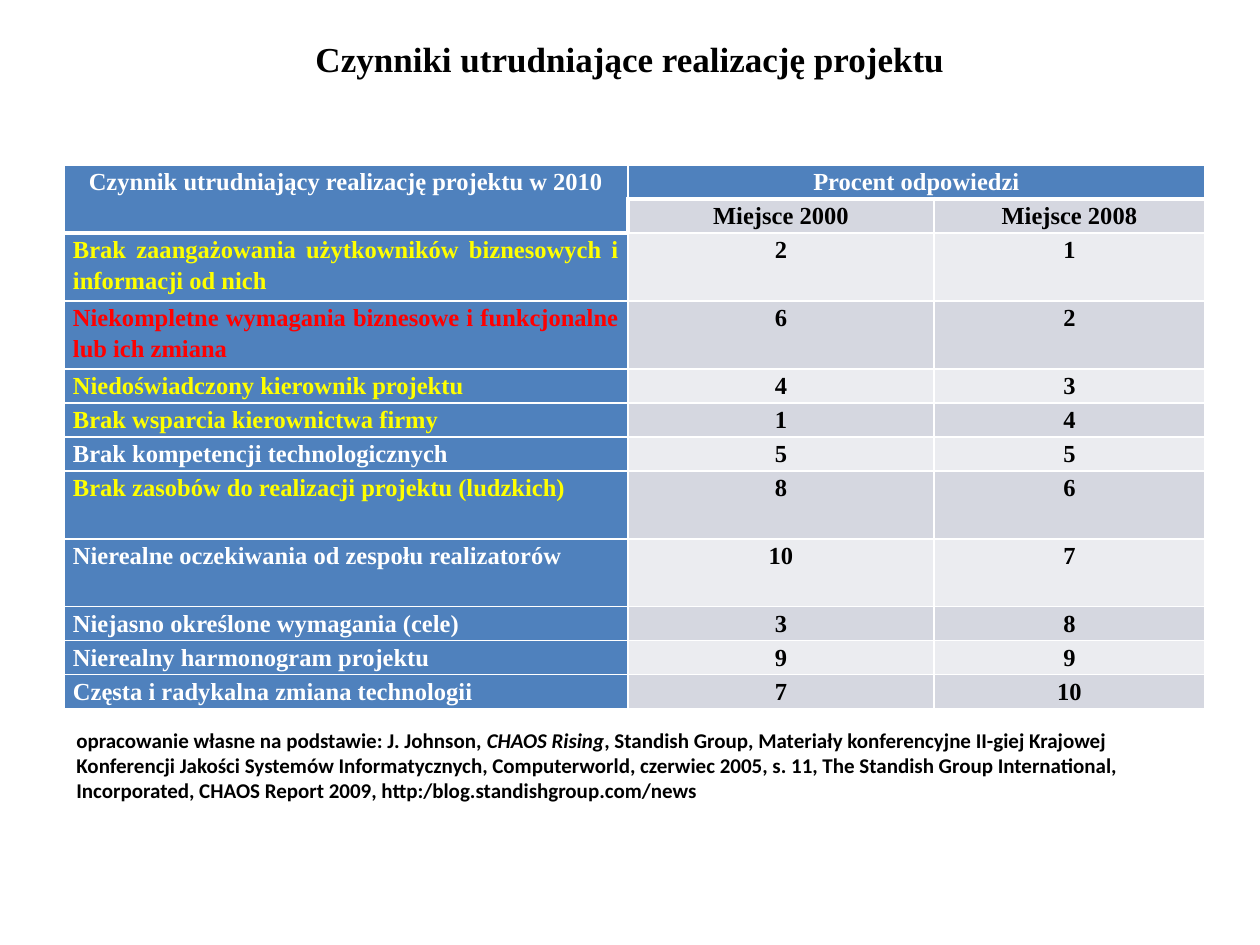
from dataclasses import dataclass
from typing import Any

import lxml.etree
import pptx
import pptx.dml.color
import pptx.enum.text
import pptx.oxml.ns
import pptx.util

EMU_PER_PX = 7257.14  # 126 px to the inch
ALIGN = pptx.enum.text.PP_ALIGN
ANCHOR = pptx.enum.text.MSO_ANCHOR


@dataclass(frozen=True)
class Theme:
    black: str = "000000"
    white: str = "FFFFFF"
    yellow: str = "FFFF00"
    red: str = "FF0000"
    blue: str = "4F81BD"
    bands: tuple[str, str] = ("EBECF0", "D5D7E0")
    serif: str = "Times New Roman"
    sans: str = "Calibri"
    title_size: int = 20
    table_size: int = 14
    source_size: int = 12
    thin: int = 1
    thick: int = 3


@dataclass(frozen=True)
class Factor:
    name: str
    place_2000: int
    place_2008: int
    color: str = Theme.white
    units: int = 1  # row height in single rows


THEME = Theme()
FACTORS = [
    Factor("Brak zaangażowania użytkowników biznesowych i informacji od nich", 2, 1, THEME.yellow, 2),
    Factor("Niekompletne wymagania biznesowe i funkcjonalne lub ich zmiana", 6, 2, THEME.red, 2),
    Factor("Niedoświadczony kierownik projektu", 4, 3, THEME.yellow),
    Factor("Brak wsparcia kierownictwa firmy", 1, 4, THEME.yellow),
    Factor("Brak kompetencji technologicznych", 5, 5),
    Factor("Brak zasobów do realizacji projektu (ludzkich)", 8, 6, THEME.yellow, 2),
    Factor("Nierealne oczekiwania od zespołu realizatorów", 10, 7, units=2),
    Factor("Niejasno określone wymagania (cele)", 3, 8),
    Factor("Nierealny harmonogram projektu", 9, 9),
    Factor("Częsta i radykalna zmiana technologii", 7, 10),
]
SOURCE = [
    ("opracowanie własne na podstawie: J. Johnson, ", False),
    ("CHAOS Rising", True),
    (", Standish Group, Materiały konferencyjne II-giej Krajowej Konferencji Jakości "
     "Systemów Informatycznych, Computerworld, czerwiec 2005, s. 11, The Standish Group "
     "International, Incorporated, CHAOS Report 2009, http:/blog.standishgroup.com/news", False),
]
COLUMN_WIDTHS = [564, 306, 271]
ROW_HEIGHT = 34
HEADER_ROWS = 2
# Thick rules part the header from the body
THICK_EDGES = {
    (0, 0): "B", (0, 1): "B", (0, 2): "B",
    (1, 0): "B", (1, 1): "LT", (1, 2): "T",
    (2, 0): "T",
}


def px(length: int) -> pptx.util.Emu:
    return pptx.util.Emu(round(length * EMU_PER_PX))


def apply(target: Any, values: dict[str, Any]) -> None:
    for name, value in values.items():
        setattr(target, name, value)


def add_span(para: Any, text: str, font: str, size: int, color: str, italic: bool = False) -> None:
    span = para.add_run()
    span.text = text
    apply(span.font, {"name": font, "size": pptx.util.Pt(size), "bold": True, "italic": italic})
    span.font.color.rgb = pptx.dml.color.RGBColor.from_string(color)


def draw_borders(cell: Any, thick_edges: str) -> None:
    properties = cell._tc.get_or_add_tcPr()
    for edge in "LRTB":
        width = THEME.thick if edge in thick_edges else THEME.thin
        line = lxml.etree.SubElement(
            properties, pptx.oxml.ns.qn(f"a:ln{edge}"), w=str(pptx.util.Pt(width)))
        fill = lxml.etree.SubElement(line, pptx.oxml.ns.qn("a:solidFill"))
        lxml.etree.SubElement(fill, pptx.oxml.ns.qn("a:srgbClr"), val=THEME.white)


def style_cell(cell: Any, fill: str, thick_edges: str) -> None:
    draw_borders(cell, thick_edges)
    cell.fill.solid()
    cell.fill.fore_color.rgb = pptx.dml.color.RGBColor.from_string(fill)
    apply(cell, {"margin_left": px(9), "margin_right": px(9), "margin_top": 0,
                 "margin_bottom": 0, "vertical_anchor": ANCHOR.TOP})


def write_cell(cell: Any, text: str, color: str, align: Any = ALIGN.CENTER) -> None:
    para = cell.text_frame.paragraphs[0]
    apply(para, {"alignment": align, "line_spacing": 1.15})
    add_span(para, text, THEME.serif, THEME.table_size, color)


def draw_title(page: Any) -> None:
    title = page.shapes.title
    apply(title, {"left": px(63), "top": px(22), "width": px(1134), "height": px(74)})
    title.text_frame.vertical_anchor = ANCHOR.MIDDLE
    para = title.text_frame.paragraphs[0]
    para.alignment = ALIGN.CENTER
    add_span(para, "Czynniki utrudniające realizację projektu",
             THEME.serif, THEME.title_size, THEME.black)


def draw_table(page: Any) -> None:
    units = [1] * HEADER_ROWS + [factor.units for factor in FACTORS]
    table = page.shapes.add_table(
        len(units), len(COLUMN_WIDTHS), px(64), px(165),
        px(sum(COLUMN_WIDTHS)), px(sum(units) * ROW_HEIGHT)).table
    apply(table, {"first_row": False, "horz_banding": False})
    for column, width in zip(table.columns, COLUMN_WIDTHS):
        column.width = px(width)
    for row, count in zip(table.rows, units):
        row.height = px(count * ROW_HEIGHT)

    # Fills and borders
    for row in range(len(units)):
        for column in range(len(COLUMN_WIDTHS)):
            is_blue = row == 0 or column == 0
            fill = THEME.blue if is_blue else THEME.bands[row % 2]
            style_cell(table.cell(row, column), fill, THICK_EDGES.get((row, column), ""))

    # Header
    table.cell(0, 0).merge(table.cell(1, 0))
    table.cell(0, 1).merge(table.cell(0, 2))
    write_cell(table.cell(0, 0), "Czynnik utrudniający realizację projektu w 2010", THEME.white)
    write_cell(table.cell(0, 1), "Procent odpowiedzi", THEME.white)
    write_cell(table.cell(1, 1), "Miejsce 2000", THEME.black)
    write_cell(table.cell(1, 2), "Miejsce 2008", THEME.black)

    # Factors and their places
    for row, factor in enumerate(FACTORS, start=HEADER_ROWS):
        write_cell(table.cell(row, 0), factor.name, factor.color, ALIGN.JUSTIFY)
        write_cell(table.cell(row, 1), str(factor.place_2000), THEME.black)
        write_cell(table.cell(row, 2), str(factor.place_2008), THEME.black)


def draw_source(page: Any) -> None:
    box = page.shapes.add_textbox(px(64), px(721), px(1141), px(89))
    apply(box.text_frame, {"word_wrap": True,
                           "auto_size": pptx.enum.text.MSO_AUTO_SIZE.SHAPE_TO_FIT_TEXT})
    para = box.text_frame.paragraphs[0]
    for text, italic in SOURCE:
        add_span(para, text, THEME.sans, THEME.source_size, THEME.black, italic)


def main() -> None:
    deck = pptx.Presentation()
    apply(deck, {"slide_width": px(1260), "slide_height": px(945)})
    page = deck.slides.add_slide(deck.slide_layouts.get_by_name("Title Only"))
    draw_title(page)
    draw_table(page)
    draw_source(page)
    deck.save("out.pptx")


if __name__ == "__main__":
    main()
